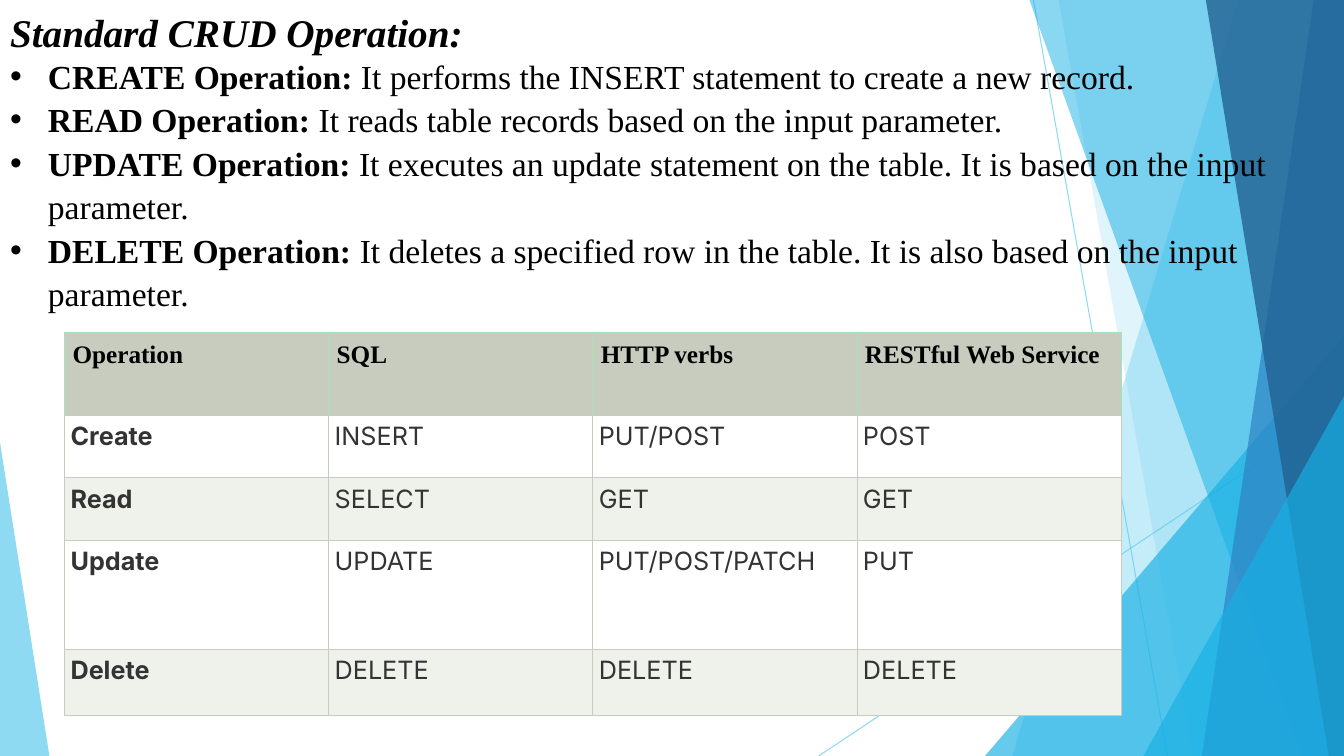
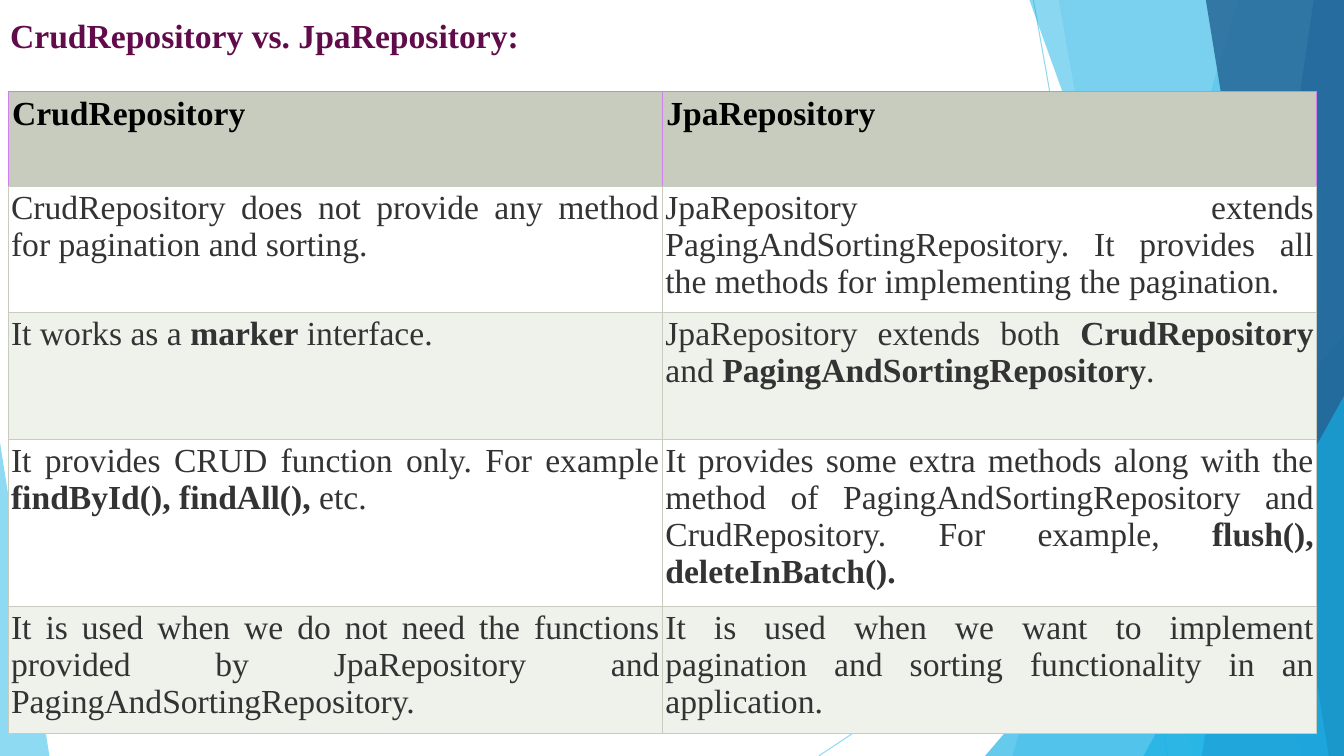
import pptx
import pptx.util
from lxml import etree
from pptx.dml.color import RGBColor
from pptx.enum.shapes import MSO_CONNECTOR, MSO_SHAPE
from pptx.enum.text import MSO_ANCHOR, MSO_AUTO_SIZE, PP_ALIGN
from pptx.oxml.ns import qn

PX = 9144  # EMU in one px, 100 px to the inch
WIDTH, HEIGHT = 1333, 750
TITLE_AND_LIST, TITLE_ONLY = 1, 5

BLACK = RGBColor(0x00, 0x00, 0x00)
WHITE = RGBColor(0xFF, 0xFF, 0xFF)
CHARCOAL = RGBColor(0x33, 0x33, 0x33)
PLUM = RGBColor(0x61, 0x0B, 0x4B)
SKY = RGBColor(0x5F, 0xCB, 0xEF)
CYAN = RGBColor(0x17, 0xB0, 0xE4)
BLUE = RGBColor(0x2E, 0x83, 0xC3)
NAVY = RGBColor(0x22, 0x62, 0x92)
SAGE = RGBColor(0xC7, 0xCC, 0xBE)
PALE_SAGE = RGBColor(0xEF, 0xF1, 0xEB)
MINT = RGBColor(0xA0, 0xE3, 0xBD)
ORCHID = RGBColor(0xD0, 0x82, 0xEB)

SERIF, SANS = "Times New Roman", "Inter"
LINE_SPACING = 1.08

OPERATIONS = [
    "**CREATE Operation: **It performs the INSERT statement to create a new record.",
    "**READ Operation: **It reads table records based on the input parameter.",
    "**UPDATE Operation: **It executes an update statement on the table. "
    "It is based on the input parameter.",
    "**DELETE Operation: **It deletes a specified row in the table. "
    "It is also based on the input parameter.",
]
VERBS = [
    ["Operation", "SQL", "HTTP verbs", "RESTful Web Service"],
    ["**Create**", "INSERT", "PUT/POST", "POST"],
    ["**Read**", "SELECT", "GET", "GET"],
    ["**Update**", "UPDATE", "PUT/POST/PATCH", "PUT"],
    ["**Delete**", "DELETE", "DELETE", "DELETE"],
]
REPOSITORIES = [
    ["CrudRepository", "JpaRepository"],
    ["CrudRepository does not provide any method for pagination and sorting.",
     "JpaRepository extends PagingAndSortingRepository. It provides all the "
     "methods for implementing the pagination."],
    ["It works as a **marker** interface.",
     "JpaRepository extends both **CrudRepository** and "
     "**PagingAndSortingRepository**."],
    ["It provides CRUD function only. For example **findById(), findAll(),** etc.",
     "It provides some extra methods along with the method of "
     "PagingAndSortingRepository and CrudRepository. For example, "
     "**flush(), deleteInBatch().**"],
    ["It is used when we do not need the functions provided by JpaRepository "
     "and PagingAndSortingRepository.",
     "It is used when we want to implement pagination and sorting "
     "functionality in an application."],
]


def write(paragraph, text, size, font, color, bold=False):
    """Write text as runs; parts between ** marks are bold."""
    for index, part in enumerate(text.split("**")):
        if part:
            run = paragraph.add_run()
            run.text = part
            run.font.size = pptx.util.Pt(size)
            run.font.name = font
            run.font.bold = bold or index % 2 == 1
            run.font.color.rgb = color


def set_opacity(shape, percent):
    for color in shape.element.spPr.iter(qn("a:srgbClr")):
        etree.SubElement(color, qn("a:alpha"), val=str(percent * 1000))


def set_borders(cell, sides):
    """Add cell borders; sides holds the colours of left, right, top, bottom."""
    properties = cell._tc.get_or_add_tcPr()
    for side, color in zip("LRTB", sides):
        line = etree.SubElement(properties, qn(f"a:ln{side}"),
                                w=str(pptx.util.Pt(0.5)))
        fill = etree.SubElement(line, qn("a:solidFill"))
        etree.SubElement(fill, qn("a:srgbClr"), val=str(color))


class Deck:
    """Holds the shared style and the slide being filled."""

    def __init__(self):
        self.presentation = pptx.Presentation()
        self.presentation.slide_width = WIDTH * PX
        self.presentation.slide_height = HEIGHT * PX
        self.slide = None

    def add_slide(self, layout):
        layouts = self.presentation.slide_layouts
        self.slide = self.presentation.slides.add_slide(layouts[layout])

    def share(self, shape):
        """Move a finished shape to the master, so every slide shows it."""
        tree = self.presentation.slide_master.shapes.element
        shape.element.xpath(".//p:cNvPr")[0].set("id", str(len(tree) + 100))
        tree.insert_element_before(shape.element, "p:extLst")

    def share_filled(self, shape, color, opacity):
        shape.shadow.inherit = False
        shape.fill.solid()
        shape.fill.fore_color.rgb = color
        shape.line.fill.background()
        set_opacity(shape, opacity)
        self.share(shape)

    def ray(self, *ends):
        ray = self.slide.shapes.add_connector(
            MSO_CONNECTOR.STRAIGHT, *(end * PX for end in ends))
        ray.line.color.rgb = SKY
        ray.line.width = pptx.util.Pt(0.75)
        set_opacity(ray, 70)
        etree.SubElement(ray.element.spPr, qn("a:effectLst"))
        self.share(ray)

    def band(self, top_x, bottom_x, color, opacity):
        """Fill from a slanted left edge to the right side of the slide."""
        outline = self.slide.shapes.build_freeform(top_x, 0, scale=PX)
        outline.add_line_segments(
            [(WIDTH, 0), (WIDTH, HEIGHT), (bottom_x, HEIGHT)], close=True)
        self.share_filled(outline.convert_to_shape(), color, opacity)

    def wedge(self, left, top, width, peak, color, opacity):
        """Draw a triangle standing on the bottom edge of the slide."""
        wedge = self.slide.shapes.add_shape(
            MSO_SHAPE.ISOSCELES_TRIANGLE, left * PX, top * PX,
            width * PX, (HEIGHT - top) * PX)
        wedge.adjustments[0] = peak
        self.share_filled(wedge, color, opacity)

    def backdrop(self):
        self.ray(1025, 0, 1158, HEIGHT)
        self.ray(WIDTH, 403, 812, HEIGHT)
        self.band(1228, 1004, SKY, 36)
        self.band(1050, 1183, SKY, 20)
        self.wedge(977, 333, 356, 1, CYAN, 66)
        self.band(1021, 1291, CYAN, 50)
        self.band(1303, 1192, BLUE, 70)
        self.band(1196, 1318, NAVY, 80)
        self.wedge(1134, 393, 199, 1, CYAN, 66)
        self.wedge(0, 439, 49, 0, SKY, 70)

    def place(self, placeholder, top, height):
        """Move a placeholder to a full-width strip and return its text frame."""
        placeholder.left, placeholder.top = 0, top * PX
        placeholder.width, placeholder.height = WIDTH * PX, height * PX
        frame = placeholder.text_frame
        frame.word_wrap = True
        frame.auto_size = MSO_AUTO_SIZE.NONE
        frame.vertical_anchor = MSO_ANCHOR.TOP
        return frame

    def title(self, text, top, size, color, italic=False):
        heading = self.place(self.slide.shapes.title, top, 50).paragraphs[0]
        heading.alignment = PP_ALIGN.LEFT
        heading.line_spacing = LINE_SPACING
        write(heading, text, size, SERIF, color, bold=True)
        heading.runs[0].font.italic = italic

    def bullets(self, items, top, height):
        frame = self.place(self.slide.placeholders[1], top, height)
        for index, item in enumerate(items):
            bullet = frame.add_paragraph() if index else frame.paragraphs[0]
            bullet.space_before = pptx.util.Pt(0)
            bullet.line_spacing = LINE_SPACING
            write(bullet, item, 24, SERIF, BLACK)

    def table(self, rows, left, top, column_width, heights, size, body_font,
              accent, header_inset, body_inset):
        columns = len(rows[0])
        table = self.slide.shapes.add_table(
            len(rows), columns, left * PX, top * PX,
            columns * column_width * PX, sum(heights) * PX).table
        for column in table.columns:
            column.width = column_width * PX
        for row_index, (texts, height) in enumerate(zip(rows, heights)):
            table.rows[row_index].height = height * PX
            header = row_index == 0
            inset = (header_inset if header else body_inset) * PX
            for column_index, text in enumerate(texts):
                cell = table.cell(row_index, column_index)
                cell.margin_left = cell.margin_right = inset
                cell.margin_top = cell.margin_bottom = inset
                set_borders(cell, [accent if header else SAGE] * 3 + [SAGE])
                cell.fill.solid()
                paragraph = cell.text_frame.paragraphs[0]
                if header:
                    cell.fill.fore_color.rgb = SAGE
                    paragraph.alignment = PP_ALIGN.LEFT
                    write(paragraph, text, size, SERIF, BLACK, bold=True)
                else:
                    cell.fill.fore_color.rgb = WHITE if row_index % 2 else PALE_SAGE
                    paragraph.alignment = PP_ALIGN.JUSTIFY
                    write(paragraph, text, size, body_font, CHARCOAL)


def main():
    deck = Deck()

    deck.add_slide(TITLE_AND_LIST)
    deck.backdrop()
    deck.title("Standard CRUD Operation:", 0, 28, BLACK, italic=True)
    deck.bullets(OPERATIONS, 47, 260)
    deck.table(VERBS, 64, 330, 262, [82, 62, 62, 108, 66], 18, SANS,
               MINT, header_inset=8, body_inset=6)

    deck.add_slide(TITLE_ONLY)
    deck.title("CrudRepository vs. JpaRepository:", 7, 24, PLUM)
    deck.table(REPOSITORIES, 8, 91, 649, [94, 125, 126, 166, 126], 24, SERIF,
               ORCHID, header_inset=4, body_inset=3)

    deck.presentation.save("out.pptx")


if __name__ == "__main__":
    main()
